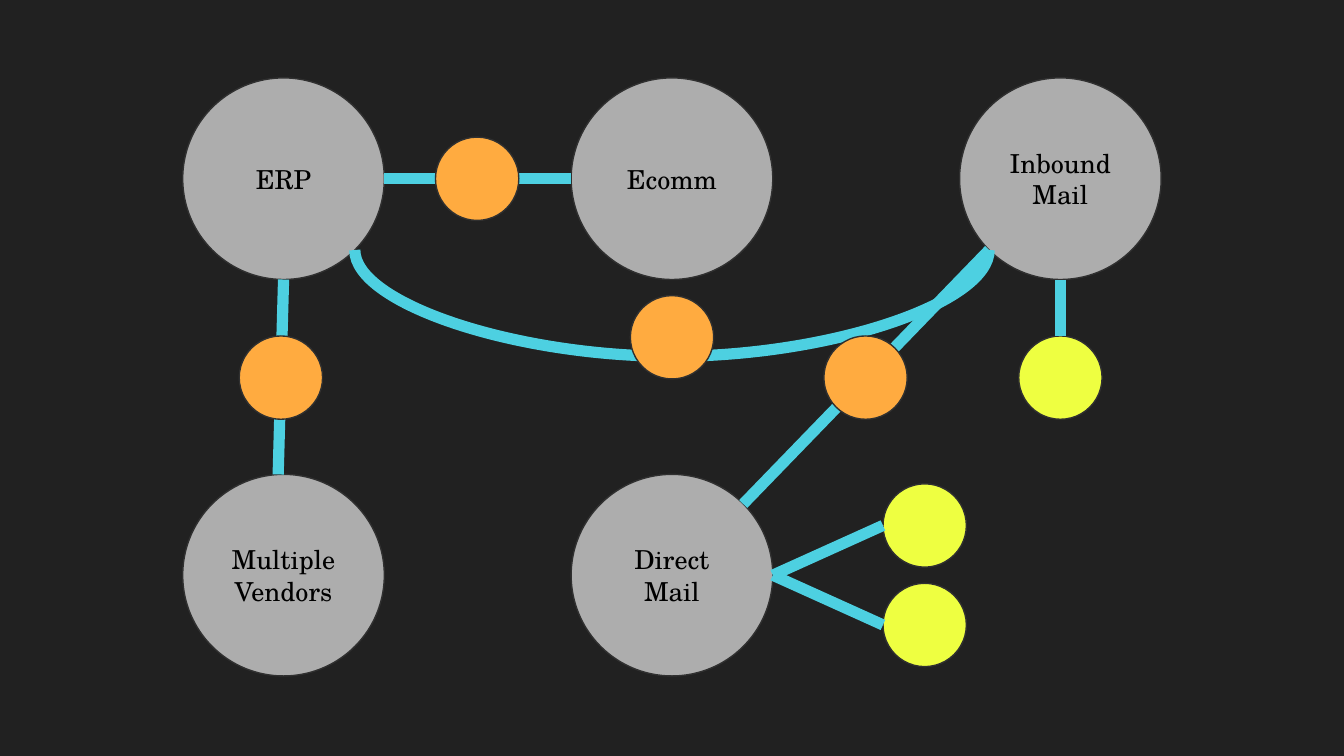
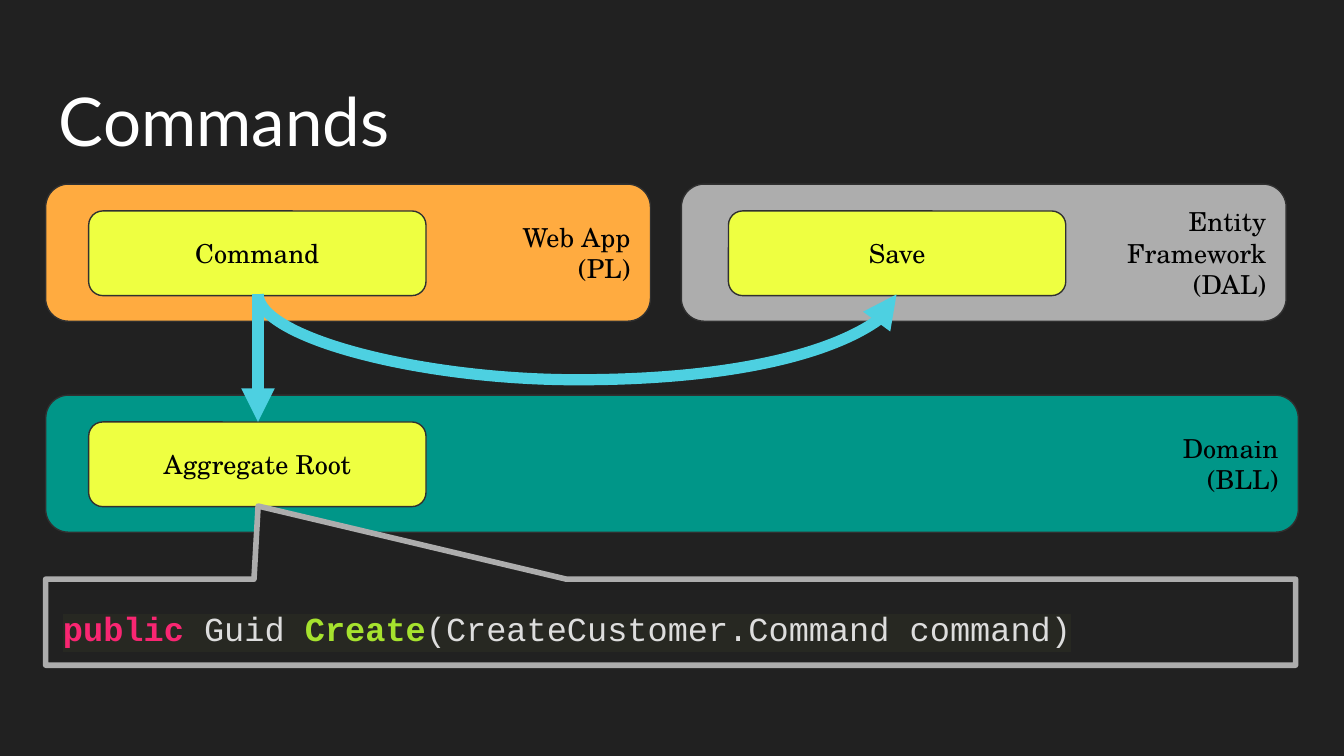
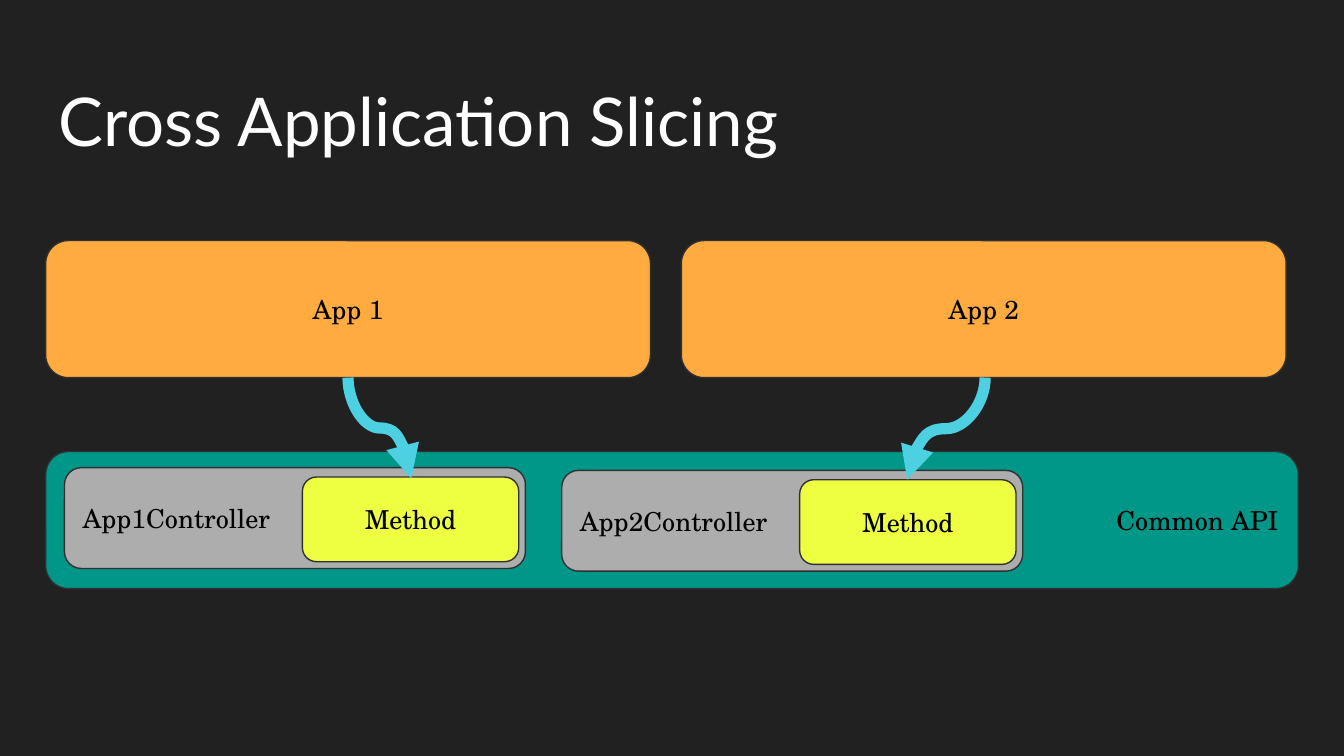
"""Build three dark slides: a system map, a command flow and an API slicing diagram."""
from lxml import etree
from pptx import Presentation
from pptx.dml.color import RGBColor
from pptx.enum.shapes import MSO_CONNECTOR, MSO_SHAPE
from pptx.enum.text import MSO_ANCHOR, PP_ALIGN
from pptx.oxml.ns import qn
from pptx.util import Emu, Inches, Pt

ELLIPSE, ROUNDED = MSO_SHAPE.OVAL, MSO_SHAPE.ROUNDED_RECTANGLE
CALLOUT = MSO_SHAPE.ROUNDED_RECTANGULAR_CALLOUT
STRAIGHT, CURVE = MSO_CONNECTOR.STRAIGHT, MSO_CONNECTOR.CURVE
LEFT, CENTER, RIGHT = PP_ALIGN.LEFT, PP_ALIGN.CENTER, PP_ALIGN.RIGHT
TOP, MIDDLE = MSO_ANCHOR.TOP, MSO_ANCHOR.MIDDLE

NIGHT = RGBColor(0x21, 0x21, 0x21)
EDGE = RGBColor(0x30, 0x30, 0x30)
GREY = RGBColor(0xAD, 0xAD, 0xAD)
ORANGE = RGBColor(0xFF, 0xAB, 0x40)
YELLOW = RGBColor(0xEE, 0xFF, 0x41)
TEAL = RGBColor(0x00, 0x96, 0x88)
CYAN = RGBColor(0x4D, 0xD0, 0xE1)
BLACK = RGBColor(0, 0, 0)
WHITE = RGBColor(0xFF, 0xFF, 0xFF)
KEYWORD = RGBColor(0xF9, 0x26, 0x72)
PLAIN = RGBColor(0xDD, 0xDD, 0xDD)
METHOD = RGBColor(0xA6, 0xE2, 0x2E)
CODE_BACK = "272822"

TITLE_FONT, BODY_FONT, CODE_FONT = "Lato", "TeX Gyre Schola", "Courier New"

MARGIN, FULL_WIDTH = 0.34, 9.32
SYSTEM_SIZE, DOT_SIZE = 1.5, 0.62
PANEL_LEFTS, PANEL_WIDTH, PANEL_HEIGHT = (MARGIN, 5.07), 4.5, 1.02
STEP_WIDTH, STEP_HEIGHT = 2.51, 0.63
METHOD_WIDTH = 1.61
LEAST_DROP = Emu(600).inches

SYSTEMS = [
    (1.36, 0.58, ["ERP"]),
    (4.25, 0.58, ["Ecomm"]),
    (7.14, 0.58, ["Inbound", "Mail"]),
    (1.36, 3.53, ["Multiple", "Vendors"]),
    (4.25, 3.53, ["Direct", "Mail"]),
]
SYSTEM_LINKS = [
    ((4.25, 1.33), (2.86, 1.33)),
    ((2.11, 2.08), (2.07, 3.53)),
    ((7.36, 1.86), (5.53, 3.75)),
]
JOINTS = [(3.24, 1.02), (1.78, 2.5), (6.13, 2.5), (4.69, 2.2)]
ENDPOINTS = [(6.57, 3.6), (6.57, 4.34), (7.58, 2.5)]
ENDPOINT_LINKS = [
    ((6.57, 3.91), (5.75, 4.28)),
    ((6.57, 4.65), (5.75, 4.28)),
    ((7.89, 2.08), (7.89, 2.5)),
]

COMMAND_PANELS = [
    (MARGIN, 1.37, PANEL_WIDTH, ORANGE, ["Web App", "(PL)"]),
    (MARGIN, 2.94, FULL_WIDTH, TEAL, ["Domain", "(BLL)"]),
    (PANEL_LEFTS[1], 1.37, PANEL_WIDTH, GREY, ["Entity", "Framework", "(DAL)"]),
]
COMMAND_STEPS = [(0.66, 1.57, "Command"), (0.66, 3.14, "Aggregate Root"), (5.42, 1.57, "Save")]
SIGNATURE = [
    ("public", KEYWORD, True),
    (" Guid ", PLAIN, False),
    ("Create", METHOD, True),
    ("(CreateCustomer.Command command)", PLAIN, False),
]

APPS = ["App 1", "App 2"]
CONTROLLERS = [(0.48, 3.48, "App1Controller"), (4.18, 3.5, "App2Controller")]
CALLS = [((2.59, 2.81), (3.06, 3.56)), ((7.33, 2.81), (6.75, 3.57))]


def add_page(deck, title=None):
    page = deck.slides.add_slide(deck.slide_layouts[6])
    page.background.fill.solid()
    page.background.fill.fore_color.rgb = NIGHT
    if title:
        box = add_text_box(page, MARGIN, 0.49, FULL_WIDTH, 0.63)
        add_span(box.text_frame.paragraphs[0], title, TITLE_FONT, 36, WHITE)
    return page


def prepare_frame(frame, anchor):
    frame.word_wrap = True
    frame.vertical_anchor = anchor
    frame.margin_left = frame.margin_right = Inches(0.1)
    frame.margin_top = frame.margin_bottom = Inches(0.1)


def add_text_box(page, left, top, width, height):
    box = page.shapes.add_textbox(Inches(left), Inches(top), Inches(width), Inches(height))
    prepare_frame(box.text_frame, TOP)
    return box


def add_span(para, text, font, size, color, bold=False):
    span = para.add_run()
    span.text = text
    span.font.name = font
    span.font.size = Pt(size)
    span.font.bold = bold
    span.font.color.rgb = color
    return span


def add_block(page, kind, left, top, width, height, fill, lines=(), align=CENTER,
              edge=EDGE, edge_width=0.75):
    block = page.shapes.add_shape(kind, Inches(left), Inches(top), Inches(width), Inches(height))
    block.shadow.inherit = False
    block.fill.solid()
    block.fill.fore_color.rgb = fill
    block.line.color.rgb = edge
    block.line.width = Pt(edge_width)
    frame = block.text_frame
    prepare_frame(frame, MIDDLE)
    for index, line in enumerate(lines):
        para = frame.add_paragraph() if index else frame.paragraphs[0]
        para.alignment = align
        add_span(para, line, BODY_FONT, 14, BLACK)
    return block


def add_link(page, start, end, arrow=False, kind=STRAIGHT):
    points = [Inches(value) for value in (*start, *end)]
    link = page.shapes.add_connector(kind, *points)
    link.line.color.rgb = CYAN
    link.line.width = Pt(6)
    if arrow:
        etree.SubElement(link.line._get_or_add_ln(), qn("a:tailEnd"), type="triangle")
    etree.SubElement(link._element.spPr, qn("a:effectLst"))
    return link


def add_curve(page, start, end, depth, arrow=False):
    (x1, y1), (x2, y2) = start, end
    drop, reach = max(y2 - y1, LEAST_DROP), abs(x2 - x1)
    middle_x, middle_y = (x1 + x2) / 2, y1 + drop / 2
    corner = (middle_x - drop / 2, middle_y - reach / 2)
    opposite = (middle_x + drop / 2, middle_y + reach / 2)
    curve = add_link(page, corner, opposite, arrow, CURVE)
    properties = curve._element.spPr
    frame = properties.find(qn("a:xfrm"))
    frame.set("rot", str((90 if x2 < x1 else 270) * 60000))
    if x2 > x1:
        frame.set("flipH", "1")
    guides = properties.find(qn("a:prstGeom")).get_or_add_avLst()
    etree.SubElement(guides, qn("a:gd"), name="adj1", fmla=f"val {round(depth / drop * 100000)}")


def add_dots(page, places, color):
    for left, top in places:
        add_block(page, ELLIPSE, left, top, DOT_SIZE, DOT_SIZE, color)


def build_system_map(deck):
    page = add_page(deck)
    for left, top, lines in SYSTEMS:
        add_block(page, ELLIPSE, left, top, SYSTEM_SIZE, SYSTEM_SIZE, GREY, lines)
    for start, end in SYSTEM_LINKS:
        add_link(page, start, end)
    add_curve(page, (7.36, 1.86), (2.64, 1.86), 0.66)
    add_dots(page, JOINTS, ORANGE)
    add_dots(page, ENDPOINTS, YELLOW)
    for start, end in ENDPOINT_LINKS:
        add_link(page, start, end)


def build_commands(deck):
    page = add_page(deck, "Commands")
    for left, top, width, fill, lines in COMMAND_PANELS:
        add_block(page, ROUNDED, left, top, width, PANEL_HEIGHT, fill, lines, RIGHT)
    for left, top, name in COMMAND_STEPS:
        add_block(page, ROUNDED, left, top, STEP_WIDTH, STEP_HEIGHT, YELLOW, [name])
    add_link(page, (1.92, 2.19), (1.92, 3.14), arrow=True)
    add_curve(page, (1.92, 2.19), (6.67, 2.19), 0.53, arrow=True)

    callout = add_block(page, CALLOUT, MARGIN, 4.31, 9.3, 0.64, NIGHT, edge=GREY, edge_width=3)
    for index, value in enumerate((-0.33, -1.35, 0)):
        callout.adjustments[index] = value
    para = add_text_box(page, 0.37, 4.38, FULL_WIDTH, 0.51).text_frame.paragraphs[0]
    para.line_spacing = 1.15
    for text, color, bold in SIGNATURE:
        span = add_span(para, text, CODE_FONT, 18, color, bold)
        highlight = etree.Element(qn("a:highlight"))
        etree.SubElement(highlight, qn("a:srgbClr"), val=CODE_BACK)
        span.font._element.find(qn("a:solidFill")).addnext(highlight)


def build_slicing(deck):
    page = add_page(deck, "Cross Application Slicing")
    for left, name in zip(PANEL_LEFTS, APPS):
        add_block(page, ROUNDED, left, 1.79, PANEL_WIDTH, PANEL_HEIGHT, ORANGE, [name])
    add_block(page, ROUNDED, MARGIN, 3.36, FULL_WIDTH, PANEL_HEIGHT, TEAL, ["Common API"], RIGHT)
    for (left, top, name), (start, end) in zip(CONTROLLERS, CALLS):
        add_block(page, ROUNDED, left, top, 3.43, 0.75, GREY, [name], LEFT)
        add_block(page, ROUNDED, left + 1.77, top + 0.07, METHOD_WIDTH, STEP_HEIGHT,
                  YELLOW, ["Method"])
        add_curve(page, start, end, (end[1] - start[1]) / 2, arrow=True)


def main():
    deck = Presentation()
    deck.slide_width = Inches(10)
    deck.slide_height = deck.slide_width * 9 // 16
    build_system_map(deck)
    build_commands(deck)
    build_slicing(deck)
    deck.save("out.pptx")


if __name__ == "__main__":
    main()
